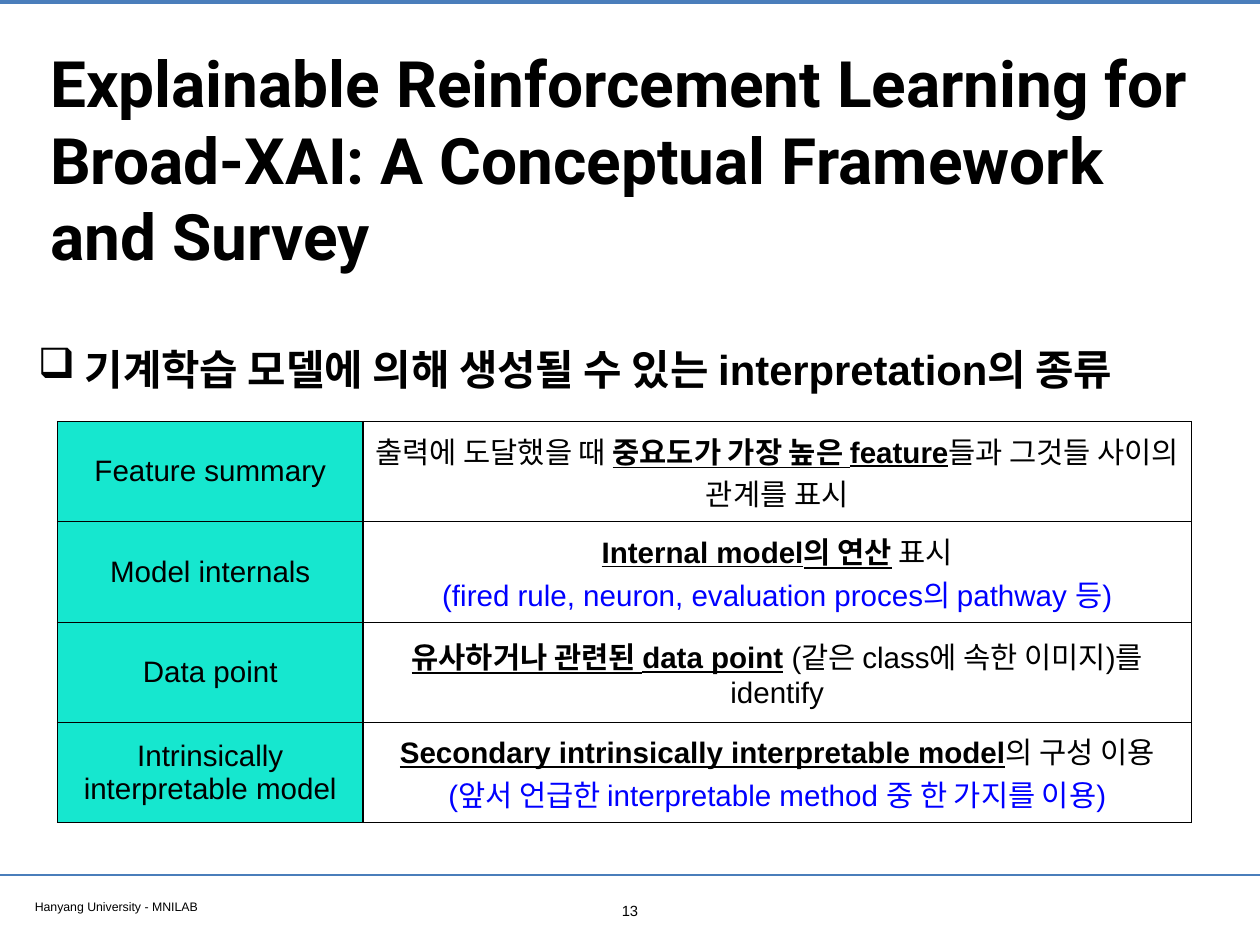
from lxml import etree
from pptx import Presentation
from pptx.dml.color import RGBColor
from pptx.enum import shapes, text
from pptx.oxml import parse_xml
from pptx.oxml.ns import nsdecls, qn
from pptx.util import Pt

WIDTH, HEIGHT = 1024, 768
BLACK, WHITE, BLUE = "000000", "FFFFFF", "0000FF"
RULE_BLUE, TEAL = "4A7EBB", "16E7CF"
INSET = 4.3

# Each row: label, then paragraphs of (text, style) runs.
INTERPRETATIONS = [
    ("Feature summary", [
        [("출력에 도달했을 때 ", "plain"), ("중요도가 가장 높은 feature", "key"),
         ("들과 그것들 사이의 관계를 표시", "plain")]]),
    ("Model internals", [
        [("Internal model의 연산", "key"), (" 표시", "plain")],
        [("(fired rule, neuron, evaluation proces의 pathway 등)", "note")]]),
    ("Data point", [
        [("유사하거나 관련된 data point", "key"),
         (" (같은 class에 속한 이미지)를 identify", "plain")]]),
    ("Intrinsically interpretable model", [
        [("Secondary intrinsically interpretable model", "key"),
         ("의 구성 이용", "plain")],
        [("(앞서 언급한 interpretable method 중 한 가지를 이용)", "note")]]),
]
STYLES = {
    "plain": {},
    "key": {"bold": True, "underline": True},
    "note": {"color": BLUE},
}


def rgb(value):
    return RGBColor.from_string(value)


def add_run(paragraph, content, size=24, font="Arial", color=BLACK,
            bold=False, underline=False):
    run = paragraph.add_run()
    run.text = content
    run.font.size = Pt(size)
    run.font.name = font
    run.font.bold = bold
    run.font.underline = underline
    run.font.color.rgb = rgb(color)


def add_text(slide, box, content, align=text.PP_ALIGN.LEFT,
             anchor=text.MSO_ANCHOR.TOP, **run_format):
    """Add a one-paragraph text box and return its paragraph."""
    frame = slide.shapes.add_textbox(*map(Pt, box)).text_frame
    frame.word_wrap = True
    frame.vertical_anchor = anchor
    frame.margin_left = frame.margin_right = Pt(INSET)
    frame.margin_top = frame.margin_bottom = Pt(INSET)
    paragraph = frame.paragraphs[0]
    paragraph.alignment = align
    add_run(paragraph, content, **run_format)
    return paragraph


def add_rule(slide, y, weight):
    """Draw a line across the full slide width."""
    rule = slide.shapes.add_connector(
        shapes.MSO_CONNECTOR.STRAIGHT, 0, Pt(y), Pt(WIDTH), Pt(y))
    rule.line.color.rgb = rgb(RULE_BLUE)
    rule.line.width = Pt(weight)
    etree.SubElement(rule._element.spPr, qn("a:effectLst"))


def add_heading(slide, box):
    paragraph = add_text(
        slide, box, "기계학습 모델에 의해 생성될 수 있는 interpretation의 종류",
        size=34, bold=True)
    properties = paragraph._p.get_or_add_pPr()
    properties.set("marL", str(Pt(38)))
    properties.set("indent", str(-Pt(38)))
    etree.SubElement(properties, qn("a:buChar"), char="❑")
    paragraph.line_spacing = 1.2


def set_borders(cell):
    properties = cell._tc.get_or_add_tcPr()
    for position, side in enumerate(("lnL", "lnR", "lnT", "lnB")):
        properties.insert(position, parse_xml(
            f'<a:{side} {nsdecls("a")} w="{Pt(1)}"><a:solidFill>'
            f'<a:srgbClr val="{BLACK}"/></a:solidFill></a:{side}>'))


def fill_cell(cell, paragraphs, color):
    cell.fill.solid()
    cell.fill.fore_color.rgb = rgb(color)
    cell.vertical_anchor = text.MSO_ANCHOR.MIDDLE
    set_borders(cell)
    frame = cell.text_frame
    for index, runs in enumerate(paragraphs):
        paragraph = frame.add_paragraph() if index else frame.paragraphs[0]
        paragraph.alignment = text.PP_ALIGN.CENTER
        for content, style in runs:
            add_run(paragraph, content, **STYLES[style])


def add_interpretation_table(slide, box):
    left, top, width, height = box
    label_width = 248.4
    table = slide.shapes.add_table(
        len(INTERPRETATIONS), 2, *map(Pt, box)).table
    table.first_row = table.horz_banding = False
    table.columns[0].width = Pt(label_width)
    table.columns[1].width = Pt(width - label_width)
    for index, (label, description) in enumerate(INTERPRETATIONS):
        table.rows[index].height = Pt(height / len(INTERPRETATIONS))
        fill_cell(table.cell(index, 0), [[(label, "plain")]], TEAL)
        fill_cell(table.cell(index, 1), description, WHITE)


def add_footer(slide, box):
    left, top, width, height = box
    add_rule(slide, top, 2)
    add_text(slide, (left + 24, top + 15, 393, 19),
             "Hanyang University - MNILAB", size=10)
    number_width = 28
    add_text(slide, (left + (width - number_width) / 2, top + 17.5,
                     number_width, 22),
             "13", align=text.PP_ALIGN.CENTER, size=12)


def main():
    presentation = Presentation()
    presentation.slide_width, presentation.slide_height = Pt(WIDTH), Pt(HEIGHT)
    slide = presentation.slides.add_slide(presentation.slide_layouts[6])
    add_rule(slide, 1.5, 3.2)
    add_footer(slide, (0, 711.3, WIDTH, HEIGHT - 711.3))
    add_text(slide, (36.5, 20, 951, 217.5),
             "Explainable Reinforcement Learning for Broad-XAI: "
             "A Conceptual Framework and Survey",
             anchor=text.MSO_ANCHOR.MIDDLE, size=52, font="Roboto", bold=True)
    add_heading(slide, (26.5, 267, 961, 59))
    add_interpretation_table(slide, (46.6, 342.5, 921.6, 326.2))
    presentation.save("out.pptx")


if __name__ == "__main__":
    main()
